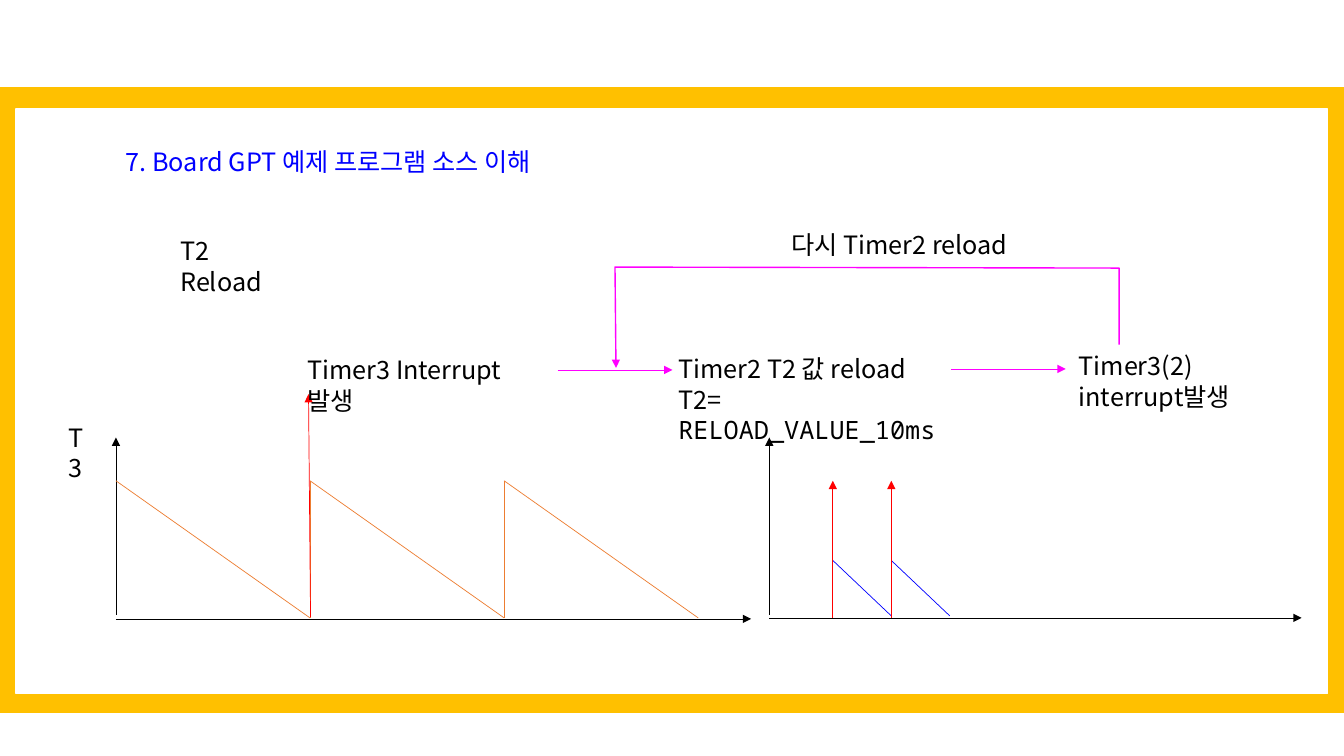
import dataclasses

import pptx
import pptx.dml.color
import pptx.enum.shapes
import pptx.enum.text
import pptx.oxml
import pptx.oxml.ns
import pptx.util
from lxml import etree

COLUMNS, ROWS = 133.3, 75


@dataclasses.dataclass(frozen=True)
class Theme:
    frame: str = "FFC000"
    paper: str = "FFFFFF"
    ink: str = "000000"
    title: str = "0000FF"
    timer3: str = "ED7D31"
    timer2: str = "0000FF"
    interrupt: str = "FF0000"
    flow: str = "FF00FF"
    font: str = "Noto Sans CJK KR"
    code_font: str = "Noto Sans Mono"
    size: int = 18
    thin: float = 0.5
    loop: float = 1


THEME = Theme()


def grid(cells):
    return pptx.util.Inches(cells / 10)


def rgb(colour):
    return pptx.dml.color.RGBColor.from_string(colour)


def add_child(parent, tag, **attributes):
    child = etree.SubElement(parent, pptx.oxml.ns.qn(tag))
    for name, value in attributes.items():
        child.set(name, value)


def style_line(item, colour, width, arrow):
    item.line.color.rgb = rgb(colour)
    item.line.width = pptx.util.Pt(width)
    if arrow:
        add_child(item.line._get_or_add_ln(), "a:tailEnd", type="triangle")


def add_panel(page, area, colour):
    panel = page.shapes.add_shape(
        pptx.enum.shapes.MSO_SHAPE.RECTANGLE, *map(grid, area))
    panel.shadow.inherit = False
    panel.fill.solid()
    panel.fill.fore_color.rgb = rgb(colour)
    style_line(panel, colour, THEME.loop, False)


def add_line(page, start, end, colour, arrow=False):
    line = page.shapes.add_connector(
        pptx.enum.shapes.MSO_CONNECTOR.STRAIGHT, *map(grid, start + end))
    style_line(line, colour, THEME.thin, arrow)
    add_child(line._element.spPr, "a:effectLst")
    return line


def style_span(span, colour, font):
    span.font.size = pptx.util.Pt(THEME.size)
    span.font.color.rgb = rgb(colour)
    span.font.name = font
    add_child(span._r.get_or_add_rPr(), "a:ea", typeface=font)


def add_label(page, area, text, colour=THEME.ink):
    box = page.shapes.add_textbox(*map(grid, area))
    frame = box.text_frame
    frame.word_wrap = True
    frame.auto_size = pptx.enum.text.MSO_AUTO_SIZE.NONE
    frame.text = text
    for para in frame.paragraphs:
        for span in para.runs:
            style_span(span, colour, THEME.font)
    return box


def add_axes(page, left, right, base):
    add_line(page, (left, base), (right, base), THEME.ink, True)
    add_line(page, (left, 61), (left, 43.4), THEME.ink, True)


def add_sawtooth(page, left, top, run, drop, teeth, risers, colour):
    for tooth in range(teeth):
        start = left + tooth * run
        add_line(page, (start, top), (start + run, top + drop), colour)
        if tooth in risers:
            add_line(page, (start, top), (start, top + drop), colour)


def add_reload_loop(page):
    builder = page.shapes.build_freeform(grid(111), grid(34.2))
    corners = [(111, 26.6), (61, 26.5), (61.1, 36.5)]
    builder.add_line_segments(
        [(grid(column), grid(row)) for column, row in corners], close=False)
    loop = builder.convert_to_shape()
    loop.shadow.inherit = False
    loop.fill.background()
    style_line(loop, THEME.flow, THEME.loop, True)


def add_flow(page):
    timer3 = add_label(page, (29.5, 34.7, 25.8, 4), "Timer3 Interrupt발생")
    timer2 = add_label(page, (66.3, 34.6, 31, 7.1), "Timer2 T2 값 reload\nT2= ")
    code = timer2.text_frame.paragraphs[1].add_run()
    code.text = "RELOAD_VALUE_10ms"
    style_span(code, THEME.ink, THEME.code_font)
    add_label(page, (106, 34.3, 23.1, 7.1), "Timer3(2) interrupt발생")
    arrow = add_line(page, (55.3, 36.7), (66.7, 36.7), THEME.flow, True)
    arrow.begin_connect(timer3, 3)
    add_line(page, (94.3, 36.6), (105.7, 36.6), THEME.flow, True)
    add_reload_loop(page)
    add_label(page, (77.5, 22.3, 23.8, 4), "다시 Timer2 reload")


def add_timer3_chart(page):
    add_axes(page, 11.5, 74.5, 61.4)
    add_sawtooth(page, 11.5, 47.7, 19.25, 13.6, 3, (1, 2), THEME.timer3)
    add_line(page, (30.8, 61.2), (30.6, 39.1), THEME.interrupt, True)
    add_label(page, (5.8, 41.4, 4.8, 4), "T3")


def add_timer2_chart(page):
    left, run, base = 82.6, 5.8, 61.3
    add_axes(page, 76.3, 129.1, base)
    add_sawtooth(page, left, 55.6, run, 5.5, 2, (0, 1), THEME.timer2)
    for column in (left, left + run):
        add_line(page, (column, base), (column, 47.7), THEME.interrupt, True)


def main():
    deck = pptx.Presentation()
    deck.slide_width, deck.slide_height = grid(COLUMNS), grid(ROWS)
    page = deck.slides.add_slide(deck.slide_layouts[6])
    add_panel(page, (0, 8.7, COLUMNS, 62), THEME.frame)
    add_panel(page, (1.6, 10.8, 130.1, 58), THEME.paper)
    add_label(page, (11.5, 14, 63, 4),
              "7. Board GPT 예제 프로그램 소스 이해", THEME.title)
    add_label(page, (16.9, 22.9, 13.4, 4), "T2 Reload")
    add_timer3_chart(page)
    add_timer2_chart(page)
    add_flow(page)
    deck.save("out.pptx")


if __name__ == "__main__":
    main()
